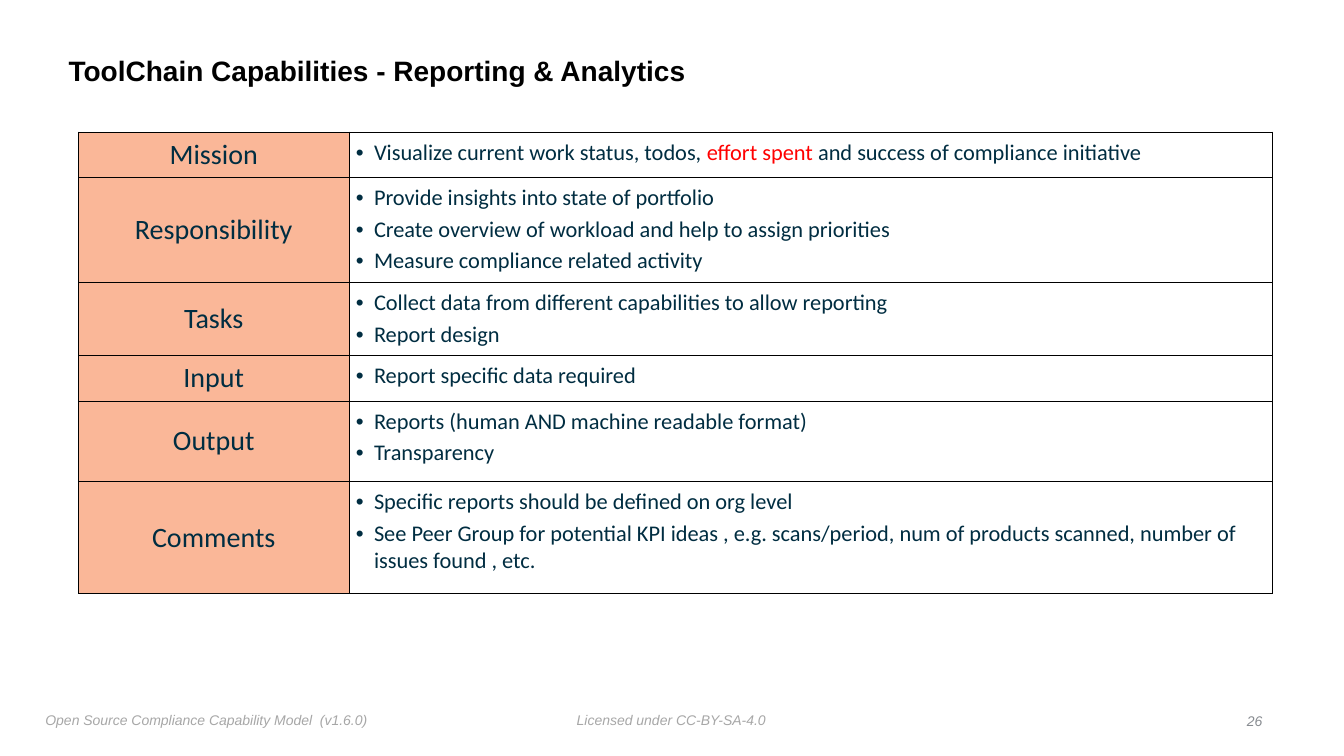
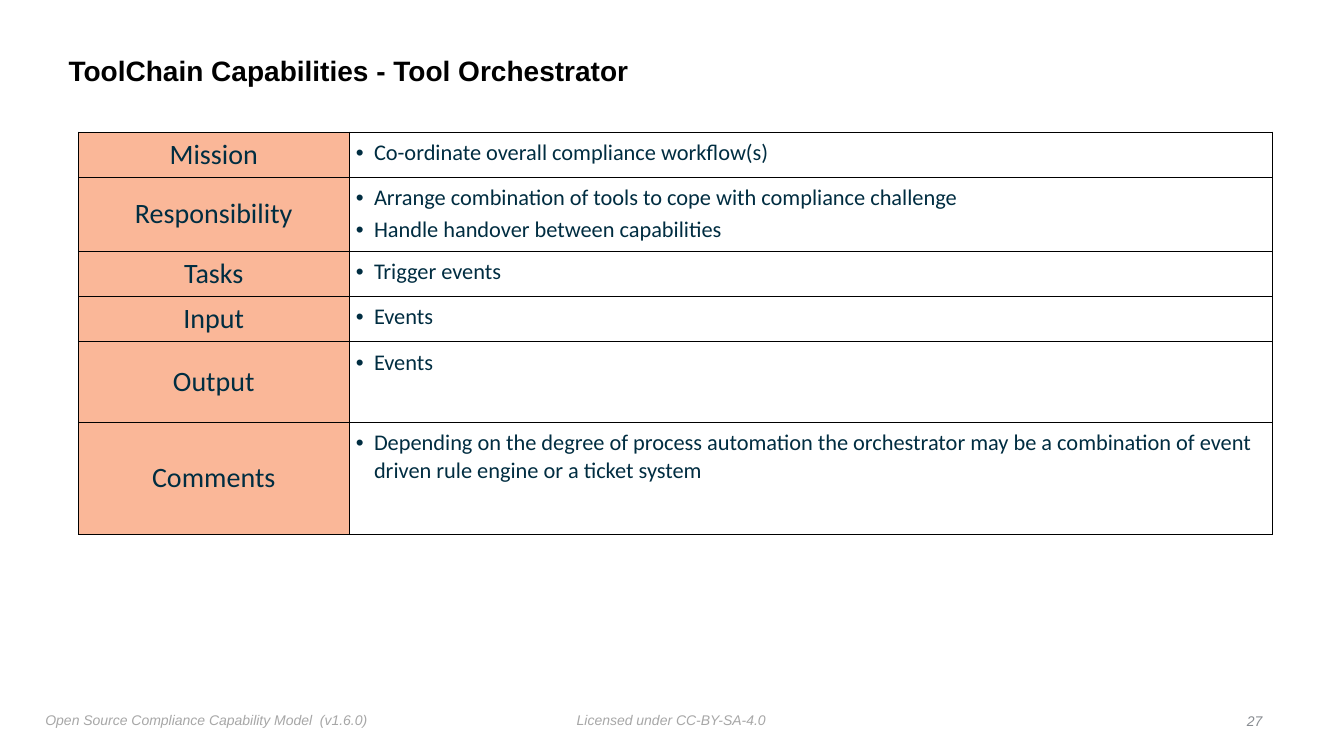
from lxml import etree
from pptx import Presentation
from pptx.dml.color import RGBColor
from pptx.enum.text import MSO_ANCHOR as Anchor, MSO_AUTO_SIZE as Auto, PP_ALIGN as Align
from pptx.oxml.ns import qn
from pptx.util import Inches, Pt

# Content
LABELS = ["Mission", "Responsibility", "Tasks", "Input", "Output", "Comments"]
FIRST = 26
SLIDES = [
    ("ToolChain Capabilities - Reporting & Analytics", [
        [["Visualize current work status, todos, ", ("effort spent ", "FF0000"),
          "and success of compliance initiative"]],
        ["Provide insights into state of portfolio",
         "Create overview of workload and help to assign priorities",
         "Measure compliance related activity"],
        ["Collect data from different capabilities to allow reporting",
         "Report design"],
        ["Report specific data required"],
        ["Reports (human AND machine readable format)", "Transparency"],
        ["Specific reports should be defined on org level",
         "See Peer Group for potential KPI ideas , e.g. scans/period, "
         "num of products scanned, number of issues found , etc."],
    ]),
    ("ToolChain Capabilities - Tool Orchestrator", [
        ["Co-ordinate overall compliance workflow(s)"],
        ["Arrange combination of tools to cope with compliance challenge",
         "Handle handover between capabilities"],
        ["Trigger events"],
        ["Events"],
        ["Events"],
        ["Depending on the degree of process automation the orchestrator may be "
         "a combination of event driven rule engine or a ticket system"],
    ]),
]
FOOTERS = [
    ("Licensed under CC-BY-SA-4.0", (5.67, 7.01, 1.99, 0.25)),
    ("Open Source Compliance Capability Model  (v1.6.0)", (0.4, 7.01, 3.32, 0.27)),
]

# Shared style
HEAD = dict(name="Arial", size=Pt(20), bold=True, color="000000")
FOOT = dict(name="Arial", size=Pt(10), italic=True, color="A7A7A7")
PAGE = FOOT | dict(color="888C91")
LABEL = dict(name="Calibri", size=Pt(20), color="002D41")
ITEM = LABEL | dict(size=Pt(16))
PEACH, RULE = "FAB798", "000000"
COLS = [2.68, 9.16]
MINS = [0.45, 0.45, 0.45, 0.45, 0.8, 1.11]
SIDES = ["left", "top", "right", "bottom"]


def rgb(code):
    return RGBColor.from_string(code)


def write(para, text, style):
    run = para.add_run()
    run.text = text
    for key, val in style.items():
        if key == "color":
            run.font.color.rgb = rgb(val)
        else:
            setattr(run.font, key, val)


def pad(part, gap):
    for side in SIDES:
        setattr(part, f"margin_{side}", Inches(gap))


def add_note(slide, text, place, style, align=Align.LEFT, anchor=Anchor.TOP):
    box = slide.shapes.add_textbox(*map(Inches, place))
    frame = box.text_frame
    pad(frame, 0.05)
    frame.word_wrap = False
    frame.auto_size = Auto.SHAPE_TO_FIT_TEXT
    frame.vertical_anchor = anchor
    frame.paragraphs[0].alignment = align
    write(frame.paragraphs[0], text, style)
    return box


def add_title(slide, text):
    title = slide.shapes.title
    title.left, title.top, title.width, title.height = map(
        Inches, (0.63, 0.39, 10.75, 0.65))
    frame = title.text_frame
    pad(frame, 0.05)
    frame.auto_size = Auto.NONE
    frame.vertical_anchor = Anchor.MIDDLE
    para = frame.paragraphs[0]
    para.alignment = Align.LEFT
    para.line_spacing = 0.9
    write(para, text, HEAD)


def frame_cell(cell):
    props = cell._tc.get_or_add_tcPr()
    for spot, tag in enumerate(["a:lnL", "a:lnR", "a:lnT", "a:lnB"]):
        line = etree.Element(qn(tag), w=str(Pt(0.5)))
        fill = etree.SubElement(line, qn("a:solidFill"))
        etree.SubElement(fill, qn("a:srgbClr"), val=RULE)
        props.insert(spot, line)


def fill_label(cell, text):
    cell.fill.solid()
    cell.fill.fore_color.rgb = rgb(PEACH)
    pad(cell, 0)
    cell.vertical_anchor = Anchor.MIDDLE
    para = cell.text_frame.paragraphs[0]
    para.alignment = Align.CENTER
    write(para, text, LABEL)


def fill_items(cell, items):
    cell.fill.background()
    pad(cell, 0.07)
    frame = cell.text_frame
    for num, item in enumerate(items):
        para = frame.add_paragraph() if num else frame.paragraphs[0]
        props = para._p.get_or_add_pPr()
        props.set("marL", str(Inches(0.18)))
        props.set("indent", str(Inches(-0.18)))
        etree.SubElement(props, qn("a:buFont"), typeface="Arial")
        etree.SubElement(props, qn("a:buChar"), char="•")
        if num:
            para.space_before = Pt(3)
        for part in [item] if isinstance(item, str) else item:
            text, color = (part, ITEM["color"]) if isinstance(part, str) else part
            write(para, text, ITEM | dict(color=color))


def add_grid(slide, groups):
    # A row grows with its bullets
    highs = [max(low, 0.13 + 0.3 * len(items)) for low, items in zip(MINS, groups)]
    grid = slide.shapes.add_table(
        len(LABELS), len(COLS), Inches(0.78), Inches(1.31),
        Inches(sum(COLS)), Inches(sum(highs))).table
    grid.first_row = grid.horz_banding = False
    for col, wide in zip(grid.columns, COLS):
        col.width = Inches(wide)
    for row, high, label, items in zip(grid.rows, highs, LABELS, groups):
        row.height = Inches(high)
        fill_label(row.cells[0], label)
        fill_items(row.cells[1], items)
        for cell in row.cells:
            frame_cell(cell)


def main():
    prs = Presentation()
    prs.slide_width, prs.slide_height = Inches(13.33), Inches(7.5)
    layout = prs.slide_layouts[5]
    for num, (title, groups) in enumerate(SLIDES):
        slide = prs.slides.add_slide(layout)
        if num == 0:
            # Footers sit on the layout, so every slide shows them
            for text, place in FOOTERS:
                note = add_note(slide, text, place, FOOT)
                layout.shapes.element.append(note.element)
        add_title(slide, title)
        add_grid(slide, groups)
        add_note(slide, str(FIRST + num), (12.3, 7.03, 0.27, 0.25), PAGE,
                 Align.RIGHT, Anchor.MIDDLE)
    prs.save("out.pptx")


if __name__ == "__main__":
    main()
